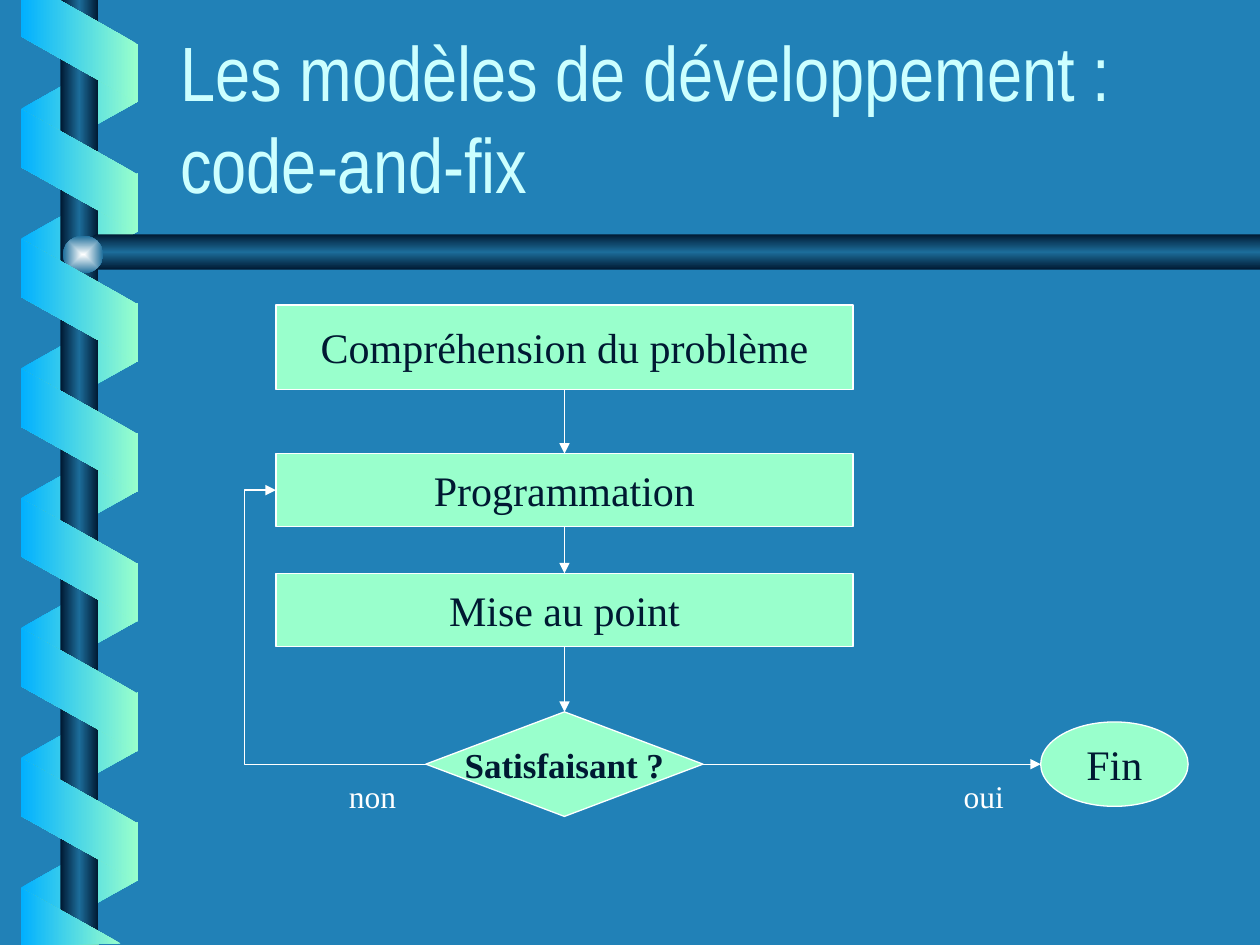
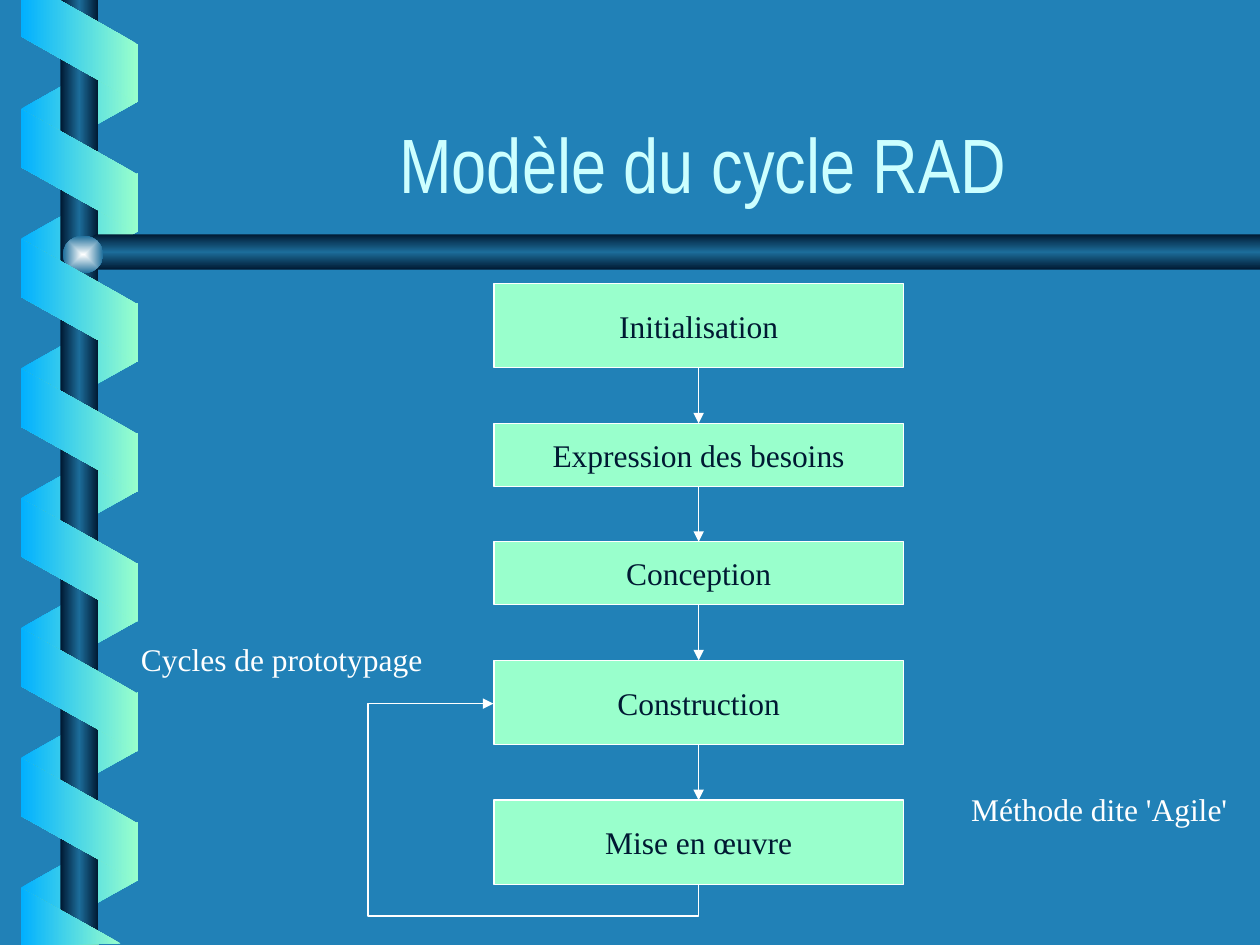
from lxml import etree
from pptx import Presentation
from pptx.dml.color import RGBColor
from pptx.enum.shapes import MSO_CONNECTOR, MSO_SHAPE
from pptx.enum.text import MSO_ANCHOR, MSO_AUTO_SIZE, PP_ALIGN
from pptx.oxml import parse_xml
from pptx.oxml.ns import nsdecls, qn
from pptx.util import Inches, Pt

RECT, OVAL = MSO_SHAPE.RECTANGLE, MSO_SHAPE.OVAL
DECISION, RIBBON = MSO_SHAPE.FLOWCHART_DECISION, MSO_SHAPE.PARALLELOGRAM
STRAIGHT, ELBOW = MSO_CONNECTOR.STRAIGHT, MSO_CONNECTOR.ELBOW
LEFT, CENTER = PP_ALIGN.LEFT, PP_ALIGN.CENTER
MIDDLE, BOTTOM_ANCHOR = MSO_ANCHOR.MIDDLE, MSO_ANCHOR.BOTTOM
NO_FIT, GROW = MSO_AUTO_SIZE.NONE, MSO_AUTO_SIZE.SHAPE_TO_FIT_TEXT

# Connection sites of a box; an ellipse counts eight sites, its left one is 2
TOP_SITE, LEFT_SITE, BOTTOM_SITE, RIGHT_SITE = range(4)
OVAL_LEFT_SITE = 2

COLORS = {
    "background": "2181B7", "title": "CCFFFF", "box": "99FFCC",
    "ink": "001932", "white": "FFFFFF", "ribbon": "01B0FF",
    "steel": "1C6D9A", "glint": "FEFFFF",
}
TITLE_FONT, BODY_FONT = "Arial Narrow", "Times New Roman"
ROD = ("ink", "steel", "ink")
FRONT_RIBBON, BACK_RIBBON = ("box", "ribbon"), ("ribbon", "box")
RIBBON_STEP = 1.03


def rgb(name):
    return RGBColor.from_string(COLORS[name])


class Deck:
    def __init__(self):
        self.prs = Presentation()
        self.prs.slide_width, self.prs.slide_height = Inches(10), Inches(7.5)
        fill = self.prs.slide_master.background.fill
        fill.solid()
        fill.fore_color.rgb = rgb("background")
        self.slide = None

    def new_slide(self, title_lines, align):
        self.slide = self.prs.slides.add_slide(self.prs.slide_layouts[5])
        title = self.slide.shapes.title
        title.left, title.top = Inches(1.33), Inches(0.46)
        title.width, title.height = Inches(8.5), Inches(1.25)
        frame = title.text_frame
        frame.auto_size, frame.word_wrap = NO_FIT, True
        frame.vertical_anchor = BOTTOM_ANCHOR
        paragraph = frame.paragraphs[0]
        paragraph.alignment = align
        for number, line in enumerate(title_lines):
            if number:
                paragraph.add_line_break()
            self.add_run(paragraph, line, 44, "title", font=TITLE_FONT)

    def add_run(self, paragraph, text, size, color, bold=False, font=BODY_FONT):
        run = paragraph.add_run()
        run.text = text
        run.font.name, run.font.size, run.font.bold = font, Pt(size), bold
        run.font.color.rgb = rgb(color)

    def preset(self, kind, left, top, width, height):
        shape = self.slide.shapes.add_shape(
            kind, Inches(left), Inches(top), Inches(width), Inches(height))
        shape.shadow.inherit = False
        return shape

    def outline(self, points):
        (x, y), *rest = [(Inches(px), Inches(py)) for px, py in points]
        builder = self.slide.shapes.build_freeform(x, y)
        builder.add_line_segments(rest, close=True)
        shape = builder.convert_to_shape()
        shape.shadow.inherit = False
        return shape

    def gradient(self, shape, names, angle=None):
        """Linear gradient at an angle, or from the centre without one."""
        stops = "".join(
            f'<a:gs pos="{100000 * i // (len(names) - 1)}">'
            f'<a:srgbClr val="{COLORS[name]}"/></a:gs>'
            for i, name in enumerate(names))
        if angle is None:
            shade = ('<a:path path="rect"><a:fillToRect l="50000" t="50000" '
                     'r="50000" b="50000"/></a:path>')
        else:
            shade = f'<a:lin ang="{angle * 60000}" scaled="0"/>'
        shape.line.fill.background()
        shape.fill.solid()
        props = shape.element.spPr
        props.replace(props.find(qn("a:solidFill")), parse_xml(
            f'<a:gradFill {nsdecls("a")} rotWithShape="0">'
            f'<a:gsLst>{stops}</a:gsLst>{shade}</a:gradFill>'))
        return shape

    def ribbon(self, top, front):
        shape = self.preset(RIBBON, 0.14, top, 0.98, 0.93)
        shape.adjustments[0] = 0.56
        shape.rotation = 270 if front else 90
        if not front:
            shape.element.spPr.find(qn("a:xfrm")).set("flipH", "1")
        return self.gradient(shape, FRONT_RIBBON if front else BACK_RIBBON, 180)

    def decorate_master(self):
        """Draw the spiral and rods, then hand them to the slide master."""
        parts = [self.ribbon(0.37 + RIBBON_STEP * i, False) for i in range(7)]
        # Rods and their joint
        parts.append(self.gradient(self.preset(RECT, 0.48, 0, 0.3, 7.5), ROD, 180))
        crossbar = self.outline(
            [(10, 1.86), (0.76, 1.86), (0.6, 2), (0.76, 2.14), (10, 2.14)])
        parts.append(self.gradient(crossbar, ROD, 90))
        joint = self.preset(OVAL, 0.5, 1.87, 0.32, 0.3)
        parts.append(self.gradient(joint, ("glint", "steel")))
        # Front ribbons, cut at the slide's top and bottom
        parts += [self.ribbon(0.89 + RIBBON_STEP * i, True) for i in range(6)]
        for points in (
            [(0.17, 0), (0.17, 0.29), (1.09, 0.81), (1.09, 0.35), (0.47, 0)],
            [(0.96, 7.49), (0.17, 7.05), (0.17, 7.5)],
        ):
            parts.append(self.gradient(self.outline(points), FRONT_RIBBON, 180))
        tree = self.prs.slide_master.shapes.element
        for number, part in enumerate(parts):
            part.element.nvSpPr.cNvPr.set("id", str(100 + number))
            tree.insert(2 + number, part.element)

    def step(self, text, left, top, width, height, size, kind=RECT, bold=False):
        shape = self.preset(kind, left, top, width, height)
        shape.fill.solid()
        shape.fill.fore_color.rgb = rgb("box")
        shape.line.color.rgb, shape.line.width = rgb("white"), Pt(0.75)
        frame = shape.text_frame
        frame.word_wrap, frame.vertical_anchor = False, MIDDLE
        frame.paragraphs[0].alignment = CENTER
        self.add_run(frame.paragraphs[0], text, size, "ink", bold)
        return shape

    def label(self, text, left, top, width):
        box = self.slide.shapes.add_textbox(
            Inches(left), Inches(top), Inches(width), Inches(0.4))
        frame = box.text_frame
        frame.word_wrap, frame.auto_size = False, GROW
        frame.paragraphs[0].alignment = LEFT
        self.add_run(frame.paragraphs[0], text, 18, "white")

    def arrow(self, source, source_site, target, target_site, kind=STRAIGHT):
        link = self.slide.shapes.add_connector(kind, 0, 0, 0, 0)
        link.begin_connect(source, source_site)
        link.end_connect(target, target_site)
        link.line.color.rgb, link.line.width = rgb("white"), Pt(0.75)
        props = link.element.spPr
        etree.SubElement(props.find(qn("a:ln")), qn("a:tailEnd"), type="triangle")
        etree.SubElement(props, qn("a:effectLst"))
        return link

    def chain(self, steps):
        for upper, lower in zip(steps, steps[1:]):
            self.arrow(upper, BOTTOM_SITE, lower, TOP_SITE)

    def bend(self, link, preset, *ratios):
        geometry = link.element.spPr.find(qn("a:prstGeom"))
        geometry.set("prst", preset)
        guides = geometry.find(qn("a:avLst"))
        if guides is None:
            guides = etree.SubElement(geometry, qn("a:avLst"))
        for number, ratio in enumerate(ratios, 1):
            etree.SubElement(guides, qn("a:gd"), name=f"adj{number}",
                             fmla=f"val {round(ratio * 100000)}")


def code_and_fix(deck):
    deck.new_slide(["Les modèles de développement :", "code-and-fix"], LEFT)
    deck.decorate_master()
    # Steps
    understanding, coding, debugging = [
        deck.step(text, 2.19, top, 4.58, height, 24)
        for text, top, height in (
            ("Compréhension du problème", 2.42, 0.67),
            ("Programmation", 3.6, 0.58),
            ("Mise au point", 4.55, 0.58))]
    satisfied = deck.step("Satisfaisant ?", 3.38, 5.65, 2.2, 0.83, 20, DECISION, True)
    deck.label("non", 2.67, 6.12, 0.63)
    deck.label("oui", 7.55, 6.12, 0.58)
    end = deck.step("Fin", 8.26, 5.73, 1.17, 0.67, 24, OVAL)
    # Flow
    deck.chain([understanding, coding, debugging, satisfied])
    yes = deck.arrow(satisfied, RIGHT_SITE, end, OVAL_LEFT_SITE)
    yes.end_x, yes.end_y = end.left, end.top + end.height // 2
    retry = deck.arrow(satisfied, LEFT_SITE, coding, LEFT_SITE, ELBOW)
    deck.bend(retry, "bentConnector3", 1.21)


def rad_cycle(deck):
    deck.new_slide(["Modèle du cycle RAD"], CENTER)
    # Phases, stacked with equal gaps
    phases, top = [], 2.25
    for text, height in (
        ("Initialisation", 0.67), ("Expression des besoins", 0.5),
        ("Conception", 0.5), ("Construction", 0.67), ("Mise en œuvre", 0.67),
    ):
        phases.append(deck.step(text, 3.92, top, 3.25, height, 18))
        top += height + 0.44
    deck.label("Cycles de prototypage", 1.02, 5.03, 2.5)
    deck.label("Méthode dite 'Agile'", 7.61, 6.22, 2.3)
    # Flow and prototyping loop
    deck.chain(phases)
    construction, rollout = phases[-2:]
    loop = deck.arrow(rollout, BOTTOM_SITE, construction, LEFT_SITE, ELBOW)
    deck.bend(loop, "bentConnector4", -0.17, 1.61)
    frame = loop.element.spPr.find(qn("a:xfrm"))
    frame.attrib.pop("flipH", None)
    frame.set("flipV", "1")
    loop.rotation = 270
    loop.left, loop.top = Inches(4.01), Inches(5.49)
    loop.width, loop.height = Inches(1.44), Inches(1.63)


def main():
    deck = Deck()
    code_and_fix(deck)
    rad_cycle(deck)
    deck.prs.save("out.pptx")


if __name__ == "__main__":
    main()
